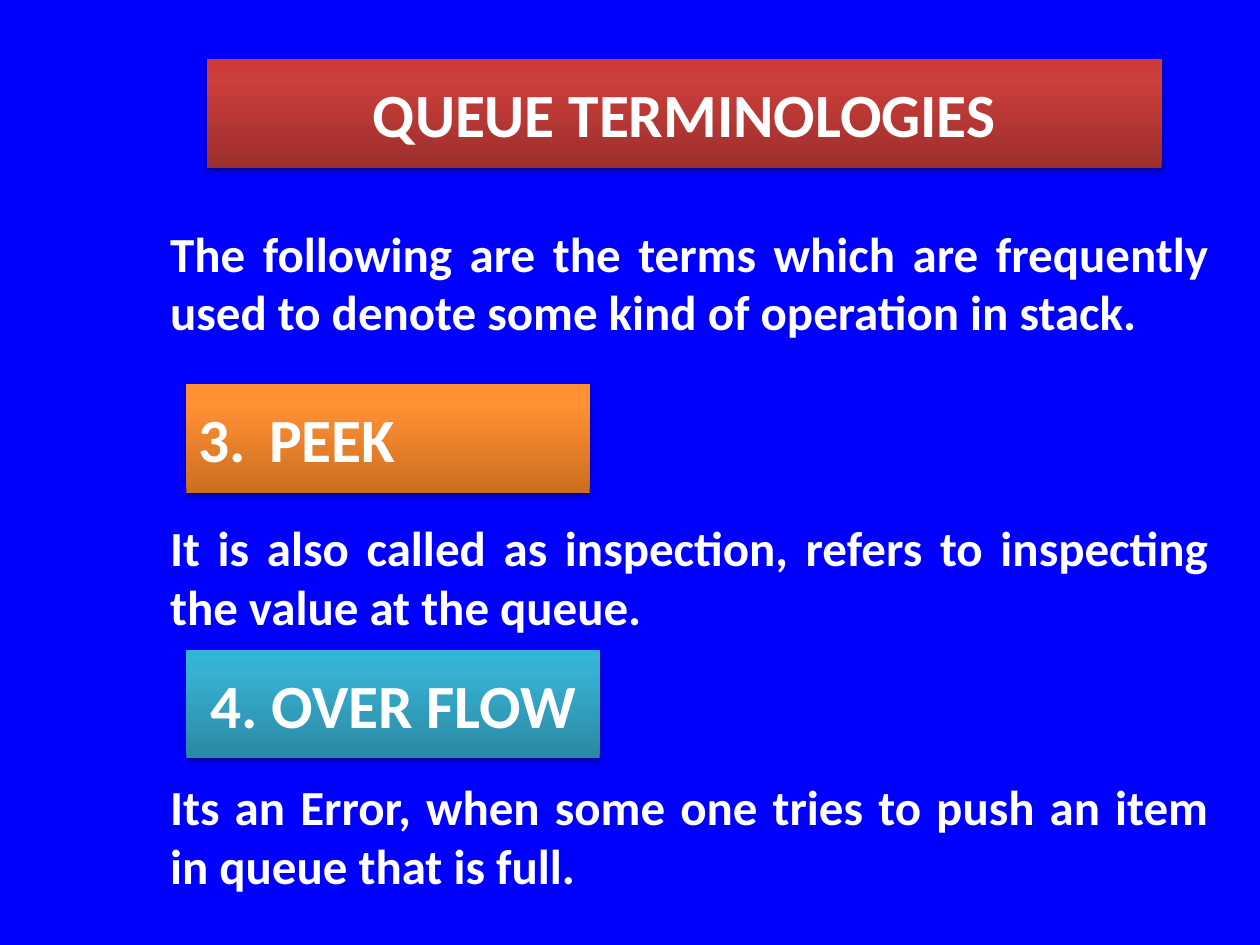
from lxml import etree
from pptx import Presentation
from pptx.dml.color import RGBColor
from pptx.enum.shapes import MSO_SHAPE
from pptx.enum.text import MSO_ANCHOR, MSO_AUTO_SIZE, PP_ALIGN
from pptx.oxml.ns import qn
from pptx.util import Inches, Pt

WHITE = "FFFFFF"
BACKGROUND = "0000FF"
# Gradient stops from the bottom edge to the top edge
RED = [(0, "9C2F2D"), (80, "CB3E3A"), (100, "CE3B37")]
ORANGE = [(0, "CC6E20"), (80, "FF9034"), (100, "FF9136")]
TEAL = [(0, "2A88A2"), (80, "37B1D2"), (100, "34B4D6")]

HEADING_FONT = {"name": "Calibri", "size": Pt(35.1), "bold": True}
BODY_FONT = {"name": "Calibri", "size": Pt(28), "bold": True}

# Each paragraph with the space before it, which leaves room for the banners
EXPLANATIONS = [
    ("The following are the terms which are frequently used to denote "
     "some kind of operation in stack.", 0),
    ("It is also called as inspection, refers to inspecting the value "
     "at the queue.", 101),
    ("Its an Error, when some one tries to push an item in queue "
     "that is full.", 81),
]


def color(hex_value):
    return RGBColor.from_string(hex_value)


def place(shape, box):
    for side, length in zip(("left", "top", "width", "height"), box):
        setattr(shape, side, Inches(length))


def set_font(paragraph, font_format):
    for attribute, value in font_format.items():
        setattr(paragraph.font, attribute, value)
    paragraph.font.color.rgb = color(WHITE)


def set_indent(paragraph, left, first_line):
    properties = paragraph._p.get_or_add_pPr()
    properties.set("marL", str(Inches(left)))
    properties.set("indent", str(Inches(first_line)))
    return properties


def add_color(parent, hex_value):
    return etree.SubElement(parent, qn("a:srgbClr"), val=hex_value)


def fill_gradient(shape, stops):
    shape.fill.gradient()
    shape.fill.gradient_angle = 90
    stop_list = shape._element.spPr.find(".//" + qn("a:gsLst"))
    for old_stop in list(stop_list):
        stop_list.remove(old_stop)
    for percent, hex_value in stops:
        stop = etree.SubElement(stop_list, qn("a:gs"), pos=str(percent * 1000))
        add_color(stop, hex_value)


def add_shadow(shape):
    shape.shadow.inherit = False
    effects = shape._element.spPr.find(qn("a:effectLst"))
    shadow = etree.SubElement(
        effects, qn("a:outerShdw"), blurRad=str(Pt(3.1)), dist=str(Pt(1.8)),
        dir="5400000", rotWithShape="0")
    etree.SubElement(add_color(shadow, "000000"), qn("a:alpha"), val="35000")


def format_banner(banner, box, text, stops, alignment):
    place(banner, box)
    fill_gradient(banner, stops)
    banner.line.fill.background()
    add_shadow(banner)

    frame = banner.text_frame
    frame.text = text
    frame.word_wrap = True
    frame.auto_size = MSO_AUTO_SIZE.NONE
    frame.vertical_anchor = MSO_ANCHOR.MIDDLE
    heading = frame.paragraphs[0]
    heading.alignment = alignment
    set_indent(heading, 0.56, -0.56)
    set_font(heading, HEADING_FONT)


def add_term(slide, box, text, stops, alignment):
    banner = slide.shapes.add_shape(MSO_SHAPE.RECTANGLE, *map(Inches, box))
    format_banner(banner, box, text, stops, alignment)


def fill_explanations(body, box):
    place(body, box)
    frame = body.text_frame
    frame.auto_size = MSO_AUTO_SIZE.NONE
    frame.margin_top = Inches(0.29)
    for index, (text, space_before) in enumerate(EXPLANATIONS):
        paragraph = frame.add_paragraph() if index else frame.paragraphs[0]
        paragraph.text = text
        paragraph.alignment = PP_ALIGN.JUSTIFY
        paragraph.space_before = Pt(space_before)
        properties = set_indent(paragraph, 0, 0)
        etree.SubElement(properties, qn("a:buNone"))
        set_font(paragraph, BODY_FONT)


def main():
    presentation = Presentation()
    presentation.slide_width = Inches(10)
    presentation.slide_height = Inches(7.5)
    slide = presentation.slides.add_slide(presentation.slide_layouts[1])
    slide.background.fill.solid()
    slide.background.fill.fore_color.rgb = color(BACKGROUND)

    # Title banner and explanations
    format_banner(slide.shapes.title, (1.64, 0.47, 7.58, 0.86),
                  "QUEUE TERMINOLOGIES", RED, PP_ALIGN.CENTER)
    fill_explanations(slide.placeholders[1], (1.25, 1.48, 8.44, 5.71))

    # Term banners
    add_term(slide, (1.48, 3.05, 3.2, 0.86), "3.\tPEEK", ORANGE, PP_ALIGN.LEFT)
    add_term(slide, (1.48, 5.16, 3.28, 0.86), "4. OVER FLOW", TEAL,
             PP_ALIGN.CENTER)

    presentation.save("out.pptx")


if __name__ == "__main__":
    main()
